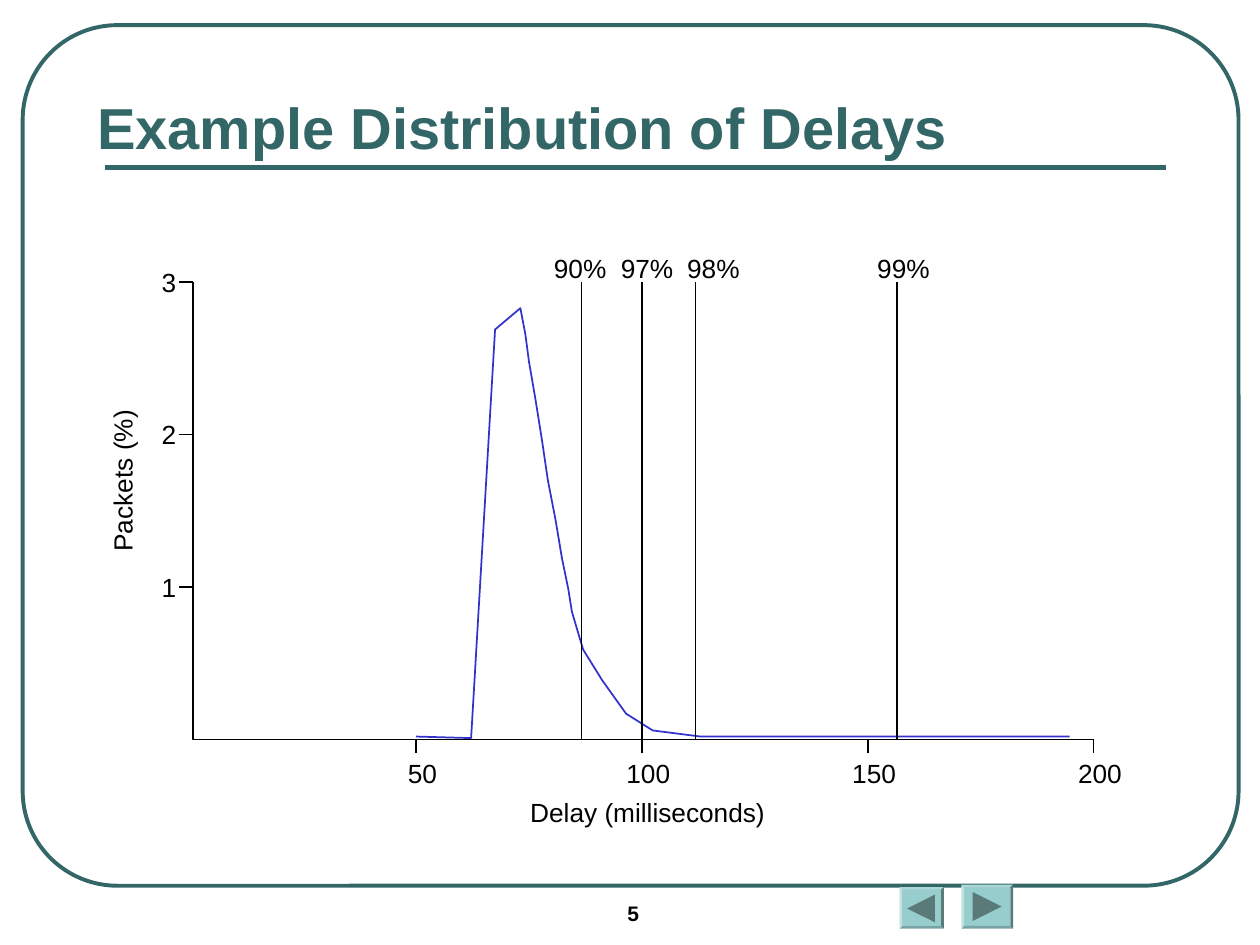
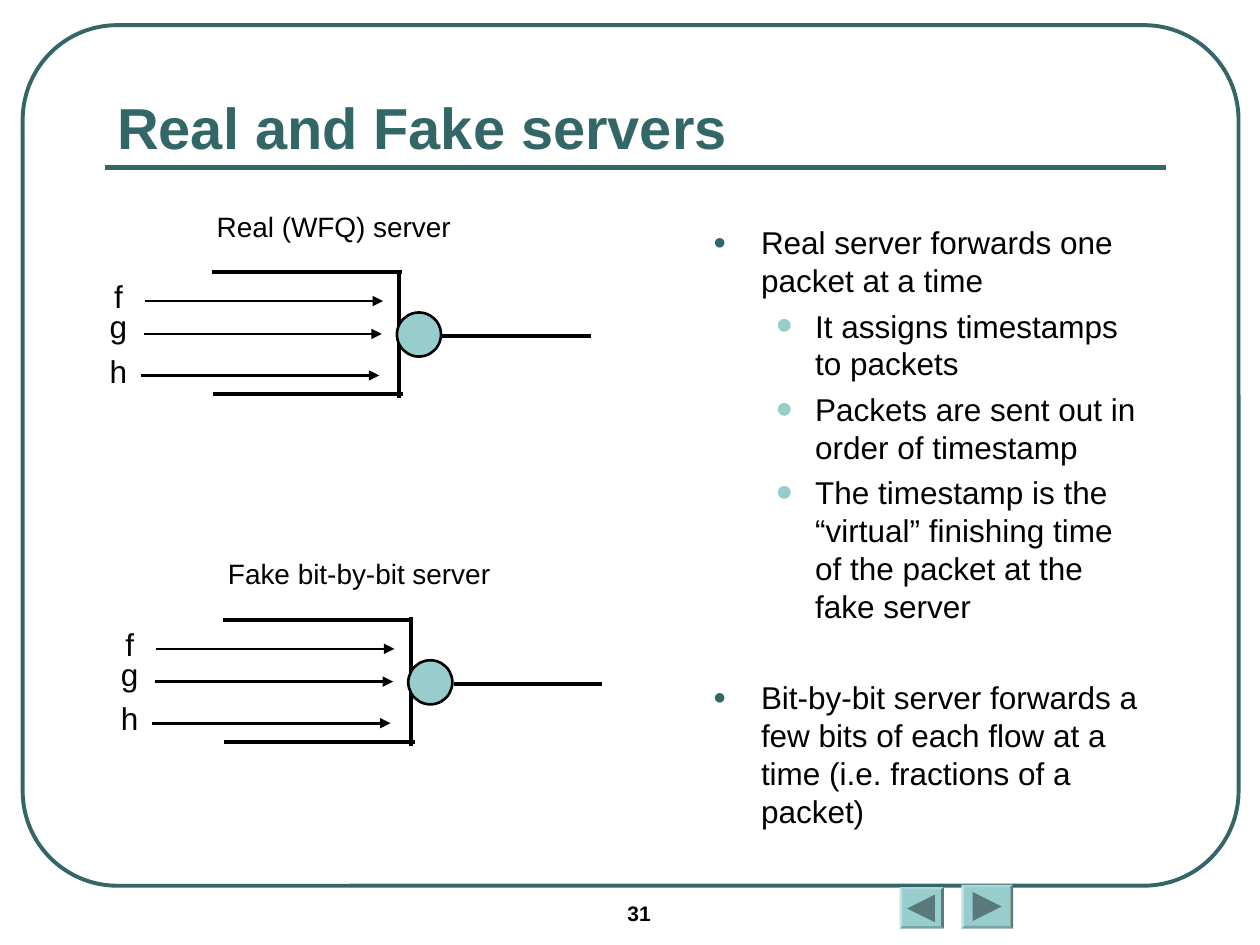
"""Build two slides on packet delays and fair-queueing servers."""
import pptx
import pptx.dml.color
import pptx.enum.shapes
import pptx.enum.text
import pptx.oxml.ns
import pptx.util
from lxml import etree

Inches, Pt = pptx.util.Inches, pptx.util.Pt
SHAPE = pptx.enum.shapes.MSO_SHAPE
ALIGN = pptx.enum.text.PP_ALIGN
ANCHOR = pptx.enum.text.MSO_ANCHOR
qn = pptx.oxml.ns.qn

FONT = "Arial"
TEAL, AQUA, SLATE = "336666", "97CDCC", "5A7A7A"
BLACK, BLUE = "000000", "3333CC"

CURVE = [(50, 0.02), (62.2, 0.01), (67.5, 2.69), (73.1, 2.83), (74.2, 2.66),
         (75, 2.48), (76.4, 2.24), (77.8, 1.98), (79.2, 1.7), (80.9, 1.44),
         (82.3, 1.19), (83.7, 0.99), (84.5, 0.84), (85.6, 0.73), (87, 0.59),
         (91.2, 0.39), (96.5, 0.17), (102.4, 0.06), (113, 0.02), (194.7, 0.02)]
PERCENTILES = [("90%", 86.6, -0.01), ("97%", 100, 0.04),
               ("98%", 111.9, 0.14), ("99%", 156.5, 0.05)]
BULLETS = [
    (0, "Real server forwards one packet at a time"),
    (1, "It assigns timestamps to packets"),
    (1, "Packets are sent out in order of timestamp"),
    (1, "The timestamp is the “virtual” finishing time of the packet at the fake server"),
    (0, "Bit-by-bit server forwards a few bits of each flow at a time "
        "(i.e. fractions of a packet)"),
]
BULLET_STYLES = [("●", TEAL, 70, 0.38, -0.38), ("•", AQUA, 150, 0.81, -0.31)]


def rgb(color):
    """Turn a hex string into a colour."""
    return pptx.dml.color.RGBColor.from_string(color)


def style_runs(p, size, color=BLACK, bold=False):
    """Format every run of a paragraph."""
    for r in p.runs:
        r.font.name, r.font.size, r.font.bold = FONT, Pt(size), bold
        r.font.color.rgb = rgb(color)


def place(sp, left, top, width, height):
    """Move and size a shape, in inches."""
    sp.left, sp.top = Inches(left), Inches(top)
    sp.width, sp.height = Inches(width), Inches(height)


def add_text(shapes, text, box, size, align=ALIGN.CENTER, wrap=False, bold=False):
    """Add a text box without margins."""
    sp = shapes.add_textbox(*map(Inches, box))
    tf = sp.text_frame
    tf.word_wrap = wrap
    tf.margin_left = tf.margin_right = tf.margin_top = tf.margin_bottom = 0
    p = tf.paragraphs[0]
    p.text, p.alignment = text, align
    style_runs(p, size, bold=bold)
    return sp


def add_line(shapes, x1, y1, x2, y2, width, color=BLACK, arrow=False):
    """Add a straight line, with an arrowhead at its end if asked."""
    sp = shapes.add_connector(pptx.enum.shapes.MSO_CONNECTOR.STRAIGHT,
                              *map(Inches, (x1, y1, x2, y2)))
    sp.line.color.rgb, sp.line.width = rgb(color), Pt(width)
    if arrow:
        etree.SubElement(sp.line._get_or_add_ln(), qn("a:tailEnd"), type="triangle")
    etree.SubElement(sp._element.spPr, qn("a:effectLst"))
    return sp


def add_shape(shapes, kind, box, fill=None, line=None, width=1):
    """Add a preset shape with optional fill and outline."""
    sp = shapes.add_shape(kind, *map(Inches, box))
    sp.shadow.inherit = False
    if fill:
        sp.fill.solid()
        sp.fill.fore_color.rgb = rgb(fill)
    else:
        sp.fill.background()
    if line:
        sp.line.color.rgb, sp.line.width = rgb(line), Pt(width)
    else:
        sp.line.fill.background()
    return sp


def add_path(shapes, points, color, width):
    """Add an open polyline through points in inches."""
    start, *rest = [(Inches(x), Inches(y)) for x, y in points]
    builder = shapes.build_freeform(*start)
    builder.add_line_segments(rest, close=False)
    sp = builder.convert_to_shape()
    sp.shadow.inherit = False
    sp.fill.background()
    sp.line.color.rgb, sp.line.width = rgb(color), Pt(width)


def nav_button(shapes, box, side, shift, rotation):
    """Draw a bevelled button with a triangle pointing left or right."""
    left, top, width, height = box
    bevel = add_shape(shapes, SHAPE.BEVEL, box, AQUA)
    bevel.adjustments[0] = 0.06
    triangle = add_shape(shapes, SHAPE.ISOSCELES_TRIANGLE,
                         (left + shift, top + 0.06, side, side), SLATE)
    triangle.rotation = rotation
    return [bevel, triangle]


def decorate_master(prs, slide):
    """Put the frame, title rule and buttons on the slide master."""
    shapes = slide.shapes
    frame = add_shape(shapes, SHAPE.ROUNDED_RECTANGLE, (0.18, 0.2, 9.65, 6.83),
                      line=TEAL, width=2.25)
    frame.adjustments[0] = 0.11
    parts = [frame, add_line(shapes, 0.83, 1.33, 9.25, 1.33, 3, TEAL)]
    parts += nav_button(shapes, (7.14, 7.04, 0.35, 0.33), 0.22, 0.06, 270)
    parts += nav_button(shapes, (7.63, 7.02, 0.41, 0.35), 0.23, 0.09, 90)
    for number, sp in enumerate(parts, 101):
        sp._element.xpath("./*/p:cNvPr")[0].set("id", str(number))
        prs.slide_master.shapes.element.append(sp._element)


def add_slide(prs, layout, title, title_box, number):
    """Add a slide with its title and page number."""
    slide = prs.slides.add_slide(prs.slide_layouts[layout])
    sp = slide.shapes.title
    place(sp, *title_box)
    tf = sp.text_frame
    tf.text = title
    tf.auto_size = pptx.enum.text.MSO_AUTO_SIZE.NONE
    tf.vertical_anchor = ANCHOR.BOTTOM
    tf.paragraphs[0].alignment = ALIGN.LEFT
    style_runs(tf.paragraphs[0], 33, TEAL, True)
    add_text(slide.shapes, number, (4.98, 7.15, 0.97, 0.23), 12, ALIGN.LEFT, True, True)
    return slide


def delay_plot(shapes, left, top, width, height):
    """Draw the delay distribution with axes and percentile markers."""
    bottom, right = top + height, left + width

    def x_at(delay):
        """Map milliseconds to inches."""
        return left + width * delay / 200

    def y_at(share):
        """Map a packet percentage to inches."""
        return bottom - height * share / 3

    add_path(shapes, [(x_at(d), y_at(s)) for d, s in CURVE], BLUE, 1)
    axis = left + 0.02
    add_path(shapes, [(axis, top), (axis, bottom), (right, bottom)], BLACK, 0.88)
    for share in (1, 2, 3):
        y = y_at(share)
        add_line(shapes, axis, y, axis - 0.11, y, 0.88)
        add_text(shapes, str(share), (axis - 0.25, y - 0.13, 0.12, 0.25), 15)
    for delay in (50, 100, 150, 200):
        x = x_at(delay)
        add_line(shapes, x, bottom, x, bottom + 0.11, 0.88)
        add_text(shapes, str(delay), (x - 0.13, bottom + 0.14, 0.36, 0.25), 15)
    for label, delay, shift in PERCENTILES:
        x = x_at(delay)
        add_line(shapes, x, top, x, bottom, 0.88)
        add_text(shapes, label, (x + shift - 0.21, top - 0.24, 0.42, 0.25), 15)
    y_title = add_text(shapes, "Packets (%)", (left - 1.19, top + 1.45, 1.3, 0.25), 15)
    y_title.rotation = 270
    add_text(shapes, "Delay (milliseconds)", (left + 2.58, bottom + 0.45, 2.1, 0.25), 15)


def server(slide, title, left, top):
    """Draw a titled queue with three flows and one output line."""
    add_text(slide.shapes, title, (left + 0.95, top, 3, 0.27), 16, ALIGN.LEFT, True)
    shapes = slide.shapes.add_group_shape().shapes
    for x1, y1, x2, y2 in [(0.91, 0.5, 2.42, 0.5), (0.92, 1.47, 2.43, 1.47),
                           (2.4, 0.48, 2.4, 1.5), (2.74, 1.01, 3.92, 1.01)]:
        add_line(shapes, left + x1, top + y1, left + x2, top + y2, 2.25)
    add_shape(shapes, SHAPE.OVAL, (left + 2.38, top + 0.82, 0.35, 0.35), AQUA, BLACK, 1.5)
    for flow, x, y, label_top in [("f", 0.38, 0.73, 0.54), ("g", 0.37, 0.99, 0.78),
                                  ("h", 0.35, 1.32, 1.13)]:
        add_line(shapes, left + x, top + y, left + x + 1.89, top + y, 1.5, arrow=True)
        add_text(shapes, flow, (left, top + label_top, 0.34, 0.3), 18)


def bullet_list(sp, left, top, width, height):
    """Fill the body placeholder with the two-level list."""
    place(sp, left, top, width, height)
    tf = sp.text_frame
    tf.auto_size = pptx.enum.text.MSO_AUTO_SIZE.NONE
    for i, (level, text) in enumerate(BULLETS):
        p = tf.add_paragraph() if i else tf.paragraphs[0]
        p.text, p.level = text, level
        p.line_spacing = 1.0
        p.space_before = Pt(30.7 if i == len(BULLETS) - 1 else 4.5)
        style_runs(p, 18)
        char, color, size, margin, indent = BULLET_STYLES[level]
        pPr = p._p.get_or_add_pPr()
        pPr.set("marL", str(Inches(margin)))
        pPr.set("indent", str(Inches(indent)))
        clr = etree.SubElement(pPr, qn("a:buClr"))
        etree.SubElement(clr, qn("a:srgbClr"), val=color)
        etree.SubElement(pPr, qn("a:buSzPct"), val=str(size * 1000))
        etree.SubElement(pPr, qn("a:buFont"), typeface=FONT)
        etree.SubElement(pPr, qn("a:buChar"), char=char)


def delays_slide(prs):
    """Build the slide with the delay distribution."""
    slide = add_slide(prs, 5, "Example Distribution of Delays", (0.67, 0.08, 8.5, 1.25), "5")
    decorate_master(prs, slide)
    delay_plot(slide.shapes, 1.51, 2.24, 7.17, 3.63)


def servers_slide(prs):
    """Build the slide that compares the two servers."""
    slide = add_slide(prs, 1, "Real and Fake servers", (0.83, 0.58, 8.42, 0.75), "31")
    bullet_list(slide.placeholders[1], 5.56, 1.72, 3.59, 5.17)
    server(slide, "Real (WFQ) server", 0.77, 1.66)
    server(slide, "Fake bit-by-bit server", 0.86, 4.42)


def main():
    """Build and save the presentation."""
    prs = pptx.Presentation()
    prs.slide_width, prs.slide_height = Inches(10), Inches(7.5)
    delays_slide(prs)
    servers_slide(prs)
    prs.save("out.pptx")


if __name__ == "__main__":
    main()
